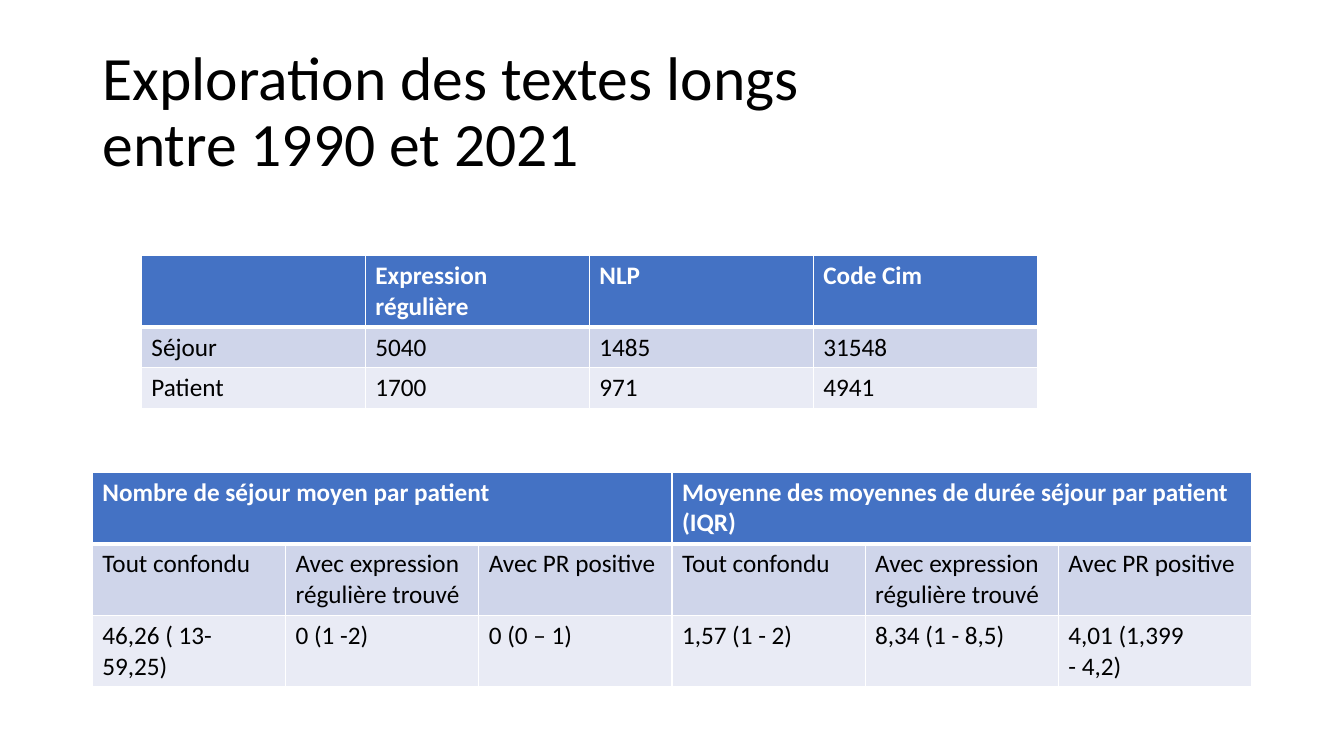
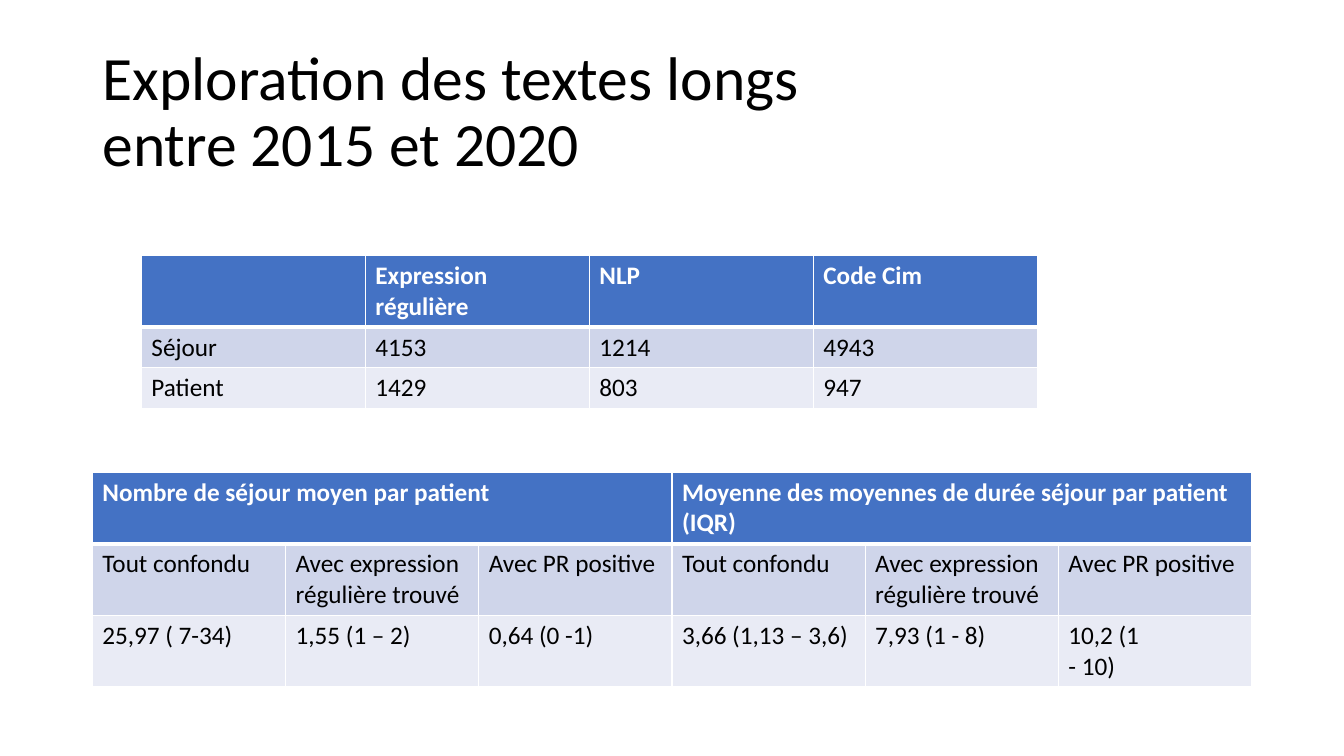
from dataclasses import dataclass

from lxml import etree
from pptx import Presentation
from pptx.dml.color import RGBColor
from pptx.enum import text
from pptx.oxml.ns import qn
from pptx.util import Pt


@dataclass(frozen=True)
class Theme:
    font: str = "Calibri"
    title_size: int = 44
    table_size: int = 18
    ink: str = "000000"
    white: str = "FFFFFF"
    row_fills: tuple = ("4472C4", "CFD5EA", "E9EBF5")
    line: float = 1
    header_line: float = 3


T = Theme()


def style_runs(tf, size, color, bold=False):
    for p in tf.paragraphs:
        for r in p.runs:
            r.font.name = T.font
            r.font.size = Pt(size)
            r.font.bold = bold
            r.font.color.rgb = RGBColor.from_string(color)


def add_grid(s, rows, left, top, col_width, heights):
    """Add a table with white rules; None continues the cell on its left."""
    n_cols = len(rows[0])
    tbl = s.shapes.add_table(len(rows), n_cols, Pt(left), Pt(top),
                             Pt(col_width * n_cols), Pt(sum(heights))).table
    for col in tbl.columns:
        col.width = Pt(col_width)
    for i, values in enumerate(rows):
        tbl.rows[i].height = Pt(heights[i])
        start = 0
        for j, value in enumerate(values):
            cell = tbl.cell(i, j)
            cell.fill.solid()
            cell.fill.fore_color.rgb = RGBColor.from_string(T.row_fills[i])
            widths = {"L": T.line, "R": T.line,
                      "T": T.header_line if i == 1 else T.line,
                      "B": T.header_line if i == 0 else T.line}
            tcPr = cell._tc.get_or_add_tcPr()
            for k, (side, width) in enumerate(widths.items()):
                ln = etree.Element(qn(f"a:ln{side}"), w=str(Pt(width)))
                fill = etree.SubElement(ln, qn("a:solidFill"))
                etree.SubElement(fill, qn("a:srgbClr"), val=T.white)
                tcPr.insert(k, ln)
            if value is not None:
                start = j
                cell.text_frame.text = value
                style_runs(cell.text_frame, T.table_size,
                           T.white if i == 0 else T.ink, bold=i == 0)
            if value is None and (j + 1 == n_cols or values[j + 1] is not None):
                tbl.cell(i, start).merge(cell)


COUNT_HEADER = ["", "Expression régulière", "NLP", "Code Cim"]
STAY_HEADER = ["Nombre de séjour moyen par patient", None, None,
               "Moyenne des moyennes de durée séjour par patient (IQR)", None, None]
STAY_GROUPS = ["Tout confondu", "Avec expression régulière trouvé", "Avec PR positive"] * 2

PERIODS = [
    ("entre 1990 et 2021",
     ["5040", "1485", "31548"],
     ["1700", "971", "4941"],
     ["46,26 ( 13-59,25)", "0 (1 -2)", "0 (0 – 1)",
      "1,57 (1 - 2)", "8,34 (1 - 8,5)", "4,01 (1,399\n- 4,2)"]),
    ("entre 2015 et 2020",
     ["4153", "1214", "4943"],
     ["1429", "803", "947"],
     ["25,97 ( 7-34)", "1,55 (1 – 2)", "0,64 (0 -1)",
      "3,66 (1,13 – 3,6)", "7,93 (1 - 8)", "10,2 (1\n- 10)"]),
]

prs = Presentation()
prs.slide_width, prs.slide_height = Pt(960), Pt(540)

for period, stays, patients, averages in PERIODS:
    s = prs.slides.add_slide(prs.slide_layouts[5])
    title = s.shapes.title
    title.left, title.top, title.width, title.height = Pt(66), Pt(28.75), Pt(828), Pt(104.4)
    tf = title.text_frame
    tf.text = f"Exploration des textes longs \v{period}"
    tf.word_wrap = True
    tf.auto_size = text.MSO_AUTO_SIZE.NONE
    tf.vertical_anchor = text.MSO_ANCHOR.MIDDLE
    p = tf.paragraphs[0]
    p.alignment = text.PP_ALIGN.LEFT
    p.line_spacing = 0.9
    style_runs(tf, T.title_size, T.ink)

    add_grid(s, [STAY_HEADER, STAY_GROUPS, averages],
             left=66, top=337.2, col_width=138, heights=[50.4] * 3)
    add_grid(s, [COUNT_HEADER, ["Séjour", *stays], ["Patient", *patients]],
             left=101, top=182.4, col_width=160, heights=[50.4, 29.2, 29.2])

prs.save("out.pptx")
